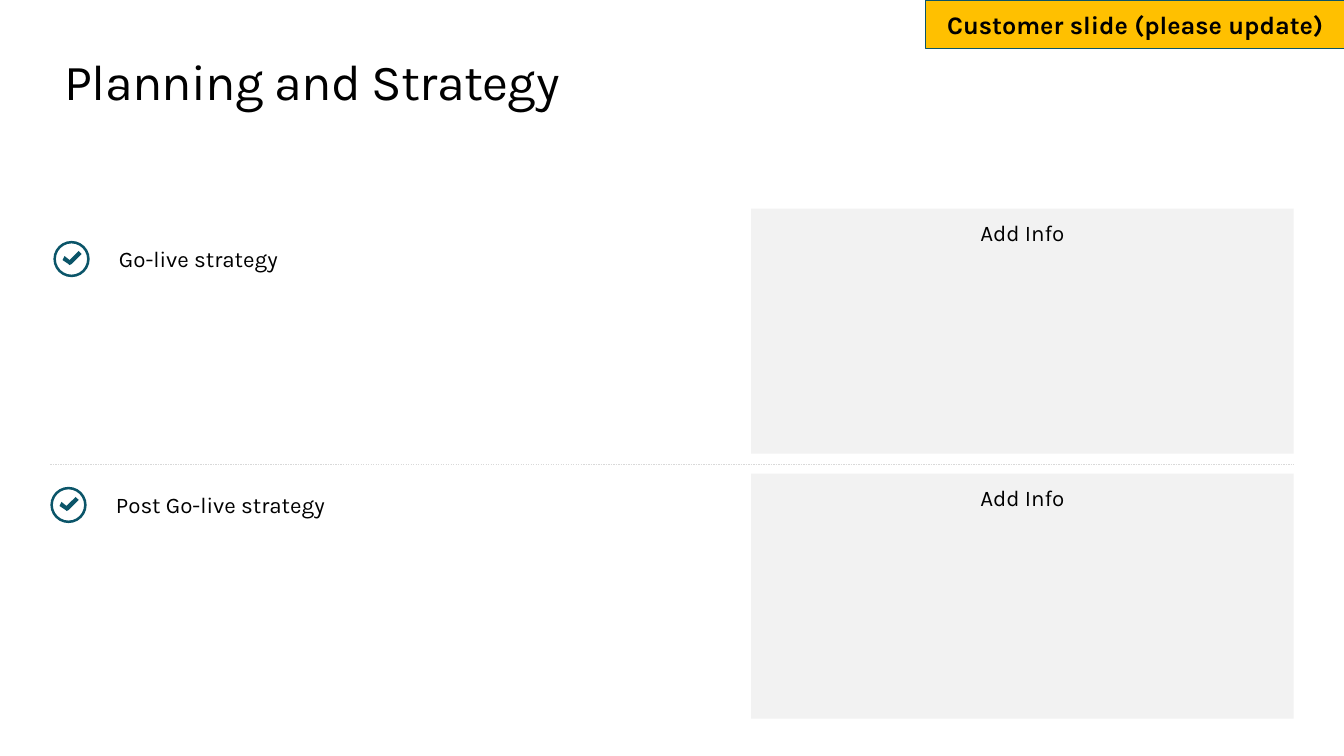
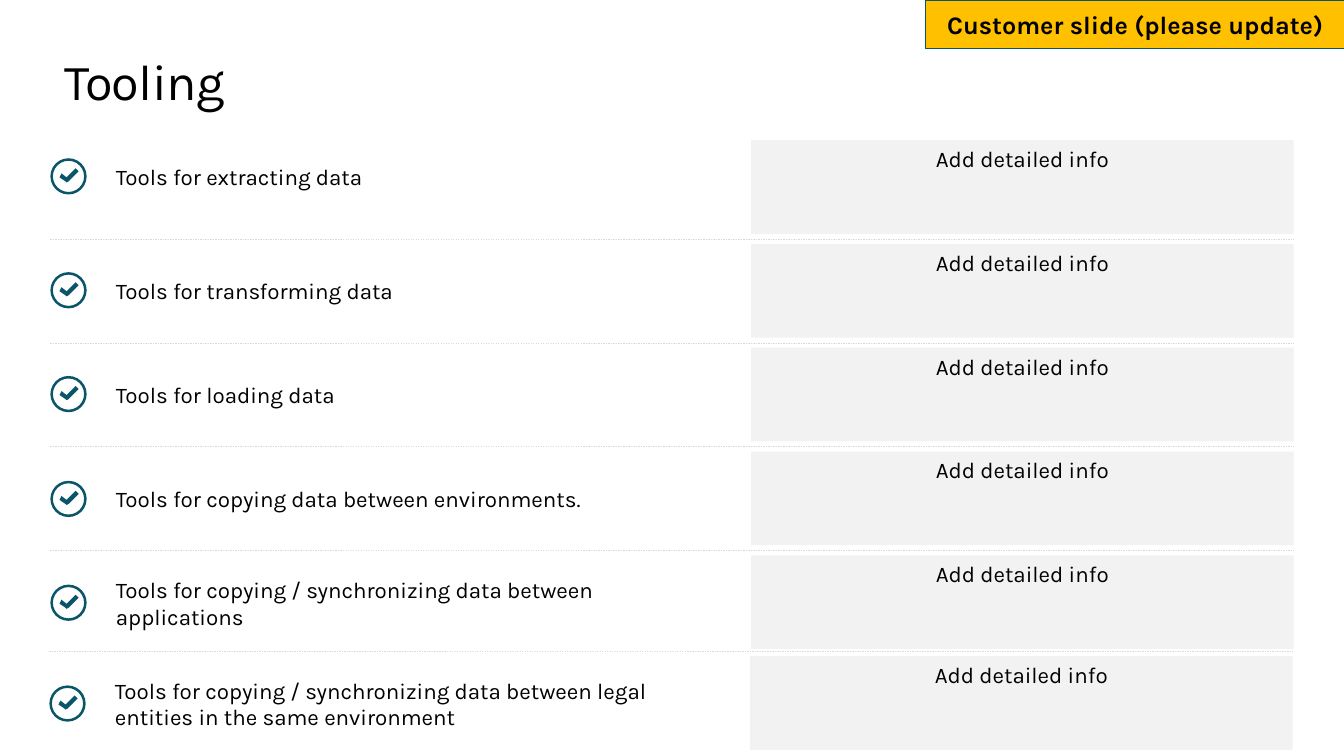
from lxml import etree
from pptx import Presentation
from pptx.dml.color import RGBColor
from pptx.enum.dml import MSO_LINE
from pptx.enum.shapes import MSO_CONNECTOR, MSO_SHAPE
from pptx.enum.text import MSO_ANCHOR, PP_ALIGN
from pptx.oxml.ns import qn
from pptx.util import Inches, Pt

RECTANGLE, DONUT = MSO_SHAPE.RECTANGLE, MSO_SHAPE.DONUT
STRAIGHT = MSO_CONNECTOR.STRAIGHT
DASH = MSO_LINE.DASH
TOP, MIDDLE = MSO_ANCHOR.TOP, MSO_ANCHOR.MIDDLE
LEFT, CENTER = PP_ALIGN.LEFT, PP_ALIGN.CENTER

FONT = "Karla"
COLORS = {
    "text": "000000",
    "banner": "FFC000",
    "teal": "0B5569",
    "card": "F2F2F2",
    "rule": "D9D9D9",
}
BANNER = "Customer slide (please update)"

SLIDES = [
    {
        "title": "Planning and Strategy",
        "prompt": "Add Info",
        "first_top": 2.07, "card_height": 2.43, "gap": 0.2,
        "card_inset": 0.1, "label_width": 5.51,
        "rows": [
            {"label": "Go-live strategy", "check": (0.53, 0.5)},
            {"label": "Post Go-live strategy", "check": (0.5, 0.31)},
        ],
    },
    {
        "title": "Tooling",
        "prompt": "Add detailed info",
        "first_top": 1.39, "card_height": 0.93, "gap": 0.1,
        "card_inset": 0.05, "label_width": 6.75,
        "rows": [
            {"label": "Tools for extracting data", "check": (0.5, 0.36)},
            {"label": "Tools for transforming data", "check": (0.5, 0.46)},
            {"label": "Tools for loading data", "check": (0.5, 0.46)},
            {"label": "Tools for copying data between environments.",
             "check": (0.5, 0.47)},
            {"label": "Tools for copying / synchronizing data between applications",
             "check": (0.5, 0.47)},
            {"label": "Tools for copying / synchronizing data between legal "
                      "entities in the same environment",
             "check": (0.5, 0.47), "shift": (-0.01, -0.03)},
        ],
    },
]

RULE_LEFT, RULE_RIGHT = 0.5, 12.83
CARD_LEFT, CARD_WIDTH = 7.45, 5.38
RING, RING_BAND = 0.36, 0.07
LABEL_OFFSET, LABEL_HEIGHT = 0.05, 0.64
TICK = [(0.25, 0.1), (0.16, 0.19), (0.11, 0.15), (0.09, 0.19), (0.15, 0.23),
        (0.16, 0.24), (0.18, 0.23), (0.28, 0.13)]


def color(key):
    return RGBColor.from_string(COLORS[key])


def box(*lengths):
    return [Inches(length) for length in lengths]


def write(shape, text, size, align=LEFT, anchor=TOP,
          insets=(0.1, 0.05, 0.1, 0.05), bold=False):
    frame = shape.text_frame
    frame.word_wrap = True
    frame.vertical_anchor = anchor
    (frame.margin_left, frame.margin_top,
     frame.margin_right, frame.margin_bottom) = box(*insets)
    paragraph = frame.paragraphs[0]
    paragraph.alignment = align
    run = paragraph.add_run()
    run.text = text
    run.font.name = FONT
    run.font.size = Pt(size)
    run.font.bold = bold
    run.font.color.rgb = color("text")
    return run


def paint(shape, fill, line=None):
    shape.shadow.inherit = False
    shape.fill.solid()
    shape.fill.fore_color.rgb = color(fill)
    if line:
        shape.line.color.rgb = color(line)
        shape.line.width = Pt(0.25)
    else:
        shape.line.fill.background()


def add_frame(slide, title):
    banner = slide.shapes.add_shape(RECTANGLE, *box(9.18, 0, 4.16, 0.48))
    paint(banner, "banner", "teal")
    write(banner, BANNER, 18, CENTER, MIDDLE, bold=True)
    heading = slide.shapes.add_textbox(*box(0.64, 0.5, 12.05, 0.61))
    run = write(heading, title, 36, insets=(0, 0, 0, 0))
    run._r.get_or_add_rPr().set("spc", "-50")


def add_rule(slide, y, dx):
    rule = slide.shapes.add_connector(
        STRAIGHT, *box(RULE_LEFT + dx, y, RULE_RIGHT + dx, y))
    rule.line.color.rgb = color("rule")
    rule.line.width = Pt(0.25)
    rule.line.dash_style = DASH
    etree.SubElement(rule._element.spPr, qn("a:effectLst"))


def add_item(slide, label, left, middle, width):
    item = slide.shapes.add_group_shape().shapes
    caption = item.add_textbox(
        *box(left + LABEL_OFFSET, middle - LABEL_HEIGHT / 2, width, LABEL_HEIGHT))
    write(caption, label, 16, anchor=MIDDLE, insets=(0.6, 0.05, 0.1, 0.05))
    top = middle - RING / 2
    ring = item.add_shape(DONUT, *box(left, top, RING, RING))
    ring.adjustments[0] = RING_BAND
    paint(ring, "teal")
    corners = [tuple(box(left + x, top + y)) for x, y in TICK]
    outline = item.build_freeform(*corners[0])
    outline.add_line_segments(corners[1:], close=True)
    paint(outline.convert_to_shape(), "teal")


def add_card(slide, prompt, left, top, height, inset):
    card = slide.shapes.add_shape(RECTANGLE, *box(left, top, CARD_WIDTH, height))
    paint(card, "card")
    write(card, prompt, 16, CENTER, insets=(0.1, inset, 0.1, 0.05))


def add_checklist(slide, content):
    pitch = content["card_height"] + content["gap"]
    for index, row in enumerate(content["rows"]):
        dx, dy = row.get("shift", (0, 0))
        top = content["first_top"] + index * pitch + dy
        if index:
            add_rule(slide, top - content["gap"] / 2, dx)
        check_left, check_drop = row["check"]
        add_item(slide, row["label"], check_left + dx, top + check_drop,
                 content["label_width"])
        add_card(slide, content["prompt"], CARD_LEFT + dx, top,
                 content["card_height"], content["card_inset"])


def main():
    deck = Presentation()
    deck.slide_width, deck.slide_height = box(13.33, 7.5)
    blank = deck.slide_layouts[6]
    for content in SLIDES:
        slide = deck.slides.add_slide(blank)
        add_frame(slide, content["title"])
        add_checklist(slide, content)
    deck.save("out.pptx")


if __name__ == "__main__":
    main()
